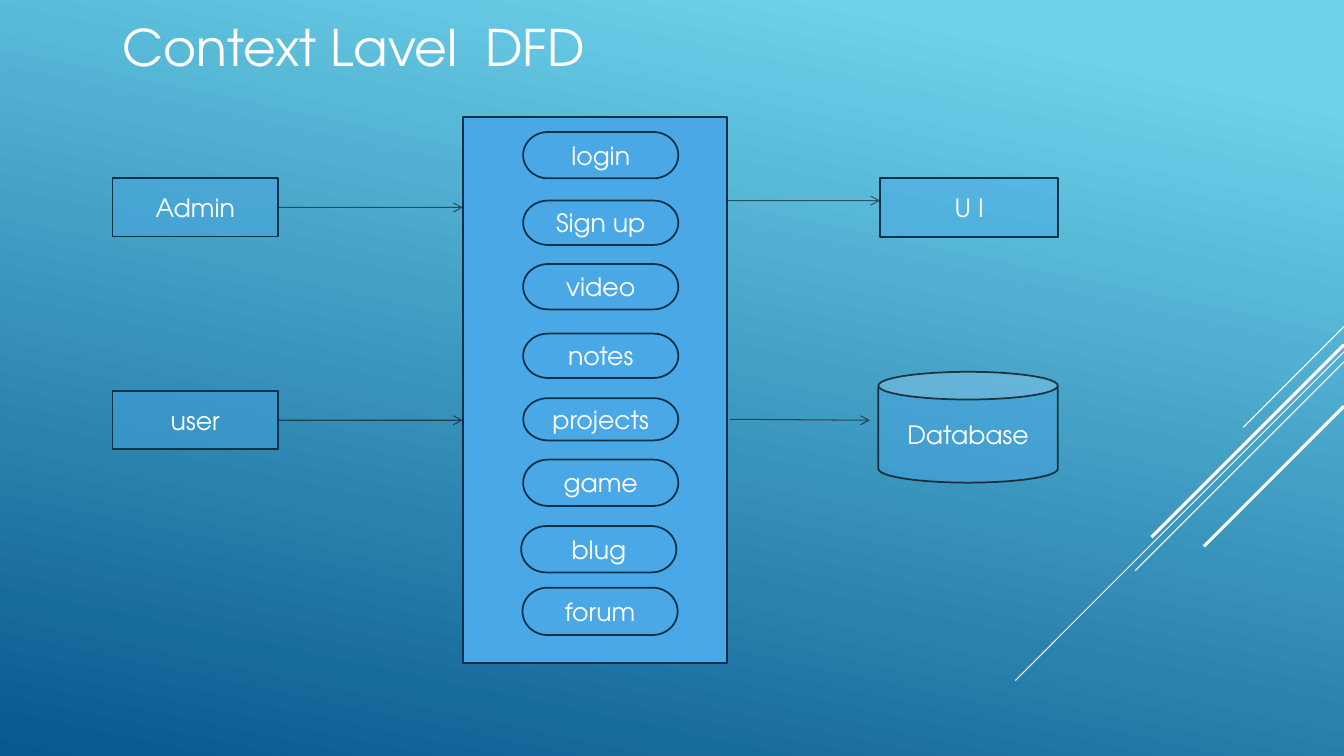
from dataclasses import dataclass
from lxml import etree
from pptx import Presentation
from pptx.dml.color import RGBColor
from pptx.enum import shapes, text
from pptx.oxml.ns import qn
from pptx.util import Pt

KIND = shapes.MSO_SHAPE


@dataclass(frozen=True)
class Theme:
    font: str = "TeX Gyre Adventor"
    title: float = 36
    body: float = 18
    edge: float = 1.25
    thin: float = 0.75
    bold: float = 2.25
    white: str = "FFFFFF"
    blue: str = "4AA8E7"
    navy: str = "043148"
    ink: str = "0D0D0D"
    sky: str = "6ED2EB"
    deep: str = "06588E"


T = Theme()


def rgb(code):
    return RGBColor.from_string(code)


def fade(fill, pct):
    """Set the opacity of a solid fill."""
    color = fill._xPr.find(qn("a:solidFill"))[0]
    etree.SubElement(color, qn("a:alpha")).set("val", str(pct * 1000))


def style(frame, size, align):
    frame.word_wrap = True
    frame.vertical_anchor = text.MSO_ANCHOR.MIDDLE
    para = frame.paragraphs[0]
    para.alignment = align
    for run in para.runs:
        run.font.name, run.font.size = T.font, Pt(size)
        run.font.color.rgb = rgb(T.white)


def node(slide, kind, box, label="", alpha=100, edge=T.navy, clear=100):
    shape = slide.shapes.add_shape(kind, *map(Pt, box))
    shape.shadow.inherit = False
    shape.fill.solid()
    shape.fill.fore_color.rgb = rgb(T.blue)
    fade(shape.fill, alpha)
    shape.line.color.rgb = rgb(edge)
    shape.line.width = Pt(T.edge)
    fade(shape.line.fill, clear)
    frame = shape.text_frame
    frame.text = label
    frame.margin_left = frame.margin_right = 0
    style(frame, T.body, text.PP_ALIGN.CENTER)
    return shape


def rule(slide, start, end, color, width):
    line = slide.shapes.add_connector(
        shapes.MSO_CONNECTOR.STRAIGHT, *map(Pt, (*start, *end)))
    line.line.color.rgb = rgb(color)
    line.line.width = Pt(width)
    etree.SubElement(line._element.spPr, qn("a:effectLst"))
    return line


def arrow(slide, start, end):
    line = rule(slide, start, end, T.ink, T.thin).line
    fade(line.fill, 60)
    etree.SubElement(line._ln, qn("a:tailEnd")).set("type", "arrow")


def backdrop(slide, box):
    """Gradient and the diagonal strokes running in from the right edge."""
    fill = slide.background.fill
    fill.gradient()
    fill.gradient_angle = 258
    for stop, pos, color in zip(fill.gradient_stops, (0.1, 1), (T.sky, T.deep)):
        stop.position = pos
        stop.color.rgb = rgb(color)
    x, y, w, h = box
    right = x + w
    for top, run, width in ((233.3, 72, T.thin), (251.3, 234.7, T.thin),
                            (258.5, 149.2, T.thin), (246.2, 137.5, T.bold),
                            (290.2, 100.1, T.bold)):
        rule(slide, (right, y + top), (right - run, y + top + run), T.white, width)


def heading(slide, box, label):
    title = slide.shapes.title
    title.left, title.top, title.width, title.height = map(Pt, box)
    title.text_frame.text = label
    title.text_frame.auto_size = text.MSO_AUTO_SIZE.NONE
    style(title.text_frame, T.title, text.PP_ALIGN.LEFT)


def system(slide, box):
    """Central process with its column of features."""
    node(slide, KIND.RECTANGLE, box)
    x, y = box[:2]
    # label, left, top, height, opacity
    for label, left, top, high, alpha in (
            ("login", 43.2, 10.8, 33.1, 75), ("Sign up", 43.2, 59.8, 31.7, 53),
            ("video", 43.2, 105.1, 32.4, 63), ("notes", 43.2, 154.8, 31.7, 59),
            ("projects", 43.2, 200.9, 30.2, 41), ("game", 43.2, 244.8, 33.1, 41),
            ("blug", 41.8, 292.3, 33.1, 42), ("forum", 42.7, 336.3, 33.8, 43)):
        node(slide, KIND.FLOWCHART_TERMINATOR,
             (x + left, y + top, 110.9, high), label, alpha)


def actors(slide, box, goal):
    """People on the left, each with an arrow to the system."""
    x, y, w, h = box
    for label, top in (("Admin", 0), ("user", 152)):
        node(slide, KIND.RECTANGLE, (x, y + top, w, h), label, 41)
        mid = y + top + h / 2
        arrow(slide, (x + w, mid), (goal, mid))


def outputs(slide, box, start):
    """Interface and store on the right, fed by the system."""
    x, y, w, h = box
    arrow(slide, (start, y + 15.9), (x, y + 15.9))
    arrow(slide, (start + 2.2, y + 172.1), (x - 7.2, y + 172.8))
    node(slide, KIND.RECTANGLE, (x, y, w, h), "U I", 41)
    node(slide, KIND.CAN, (x - 1.2, y + 138.2, w + 0.8, 79.2),
         "Database", 42, T.ink, 75)


deck = Presentation()
deck.slide_width, deck.slide_height = Pt(960), Pt(540)
page = deck.slides.add_slide(deck.slide_layouts[5])
core = (330.5, 83.5, 188.7, 390.2)
backdrop(page, (0, 0, 960, 540))
heading(page, (80.6, 7.9, 349.2, 51.1), "Context Lavel  DFD")
system(page, core)
actors(page, (80.4, 127.4, 118.2, 41.6), core[0])
outputs(page, (628.6, 127.4, 127.4, 41.8), core[0] + core[2])
deck.save("out.pptx")
